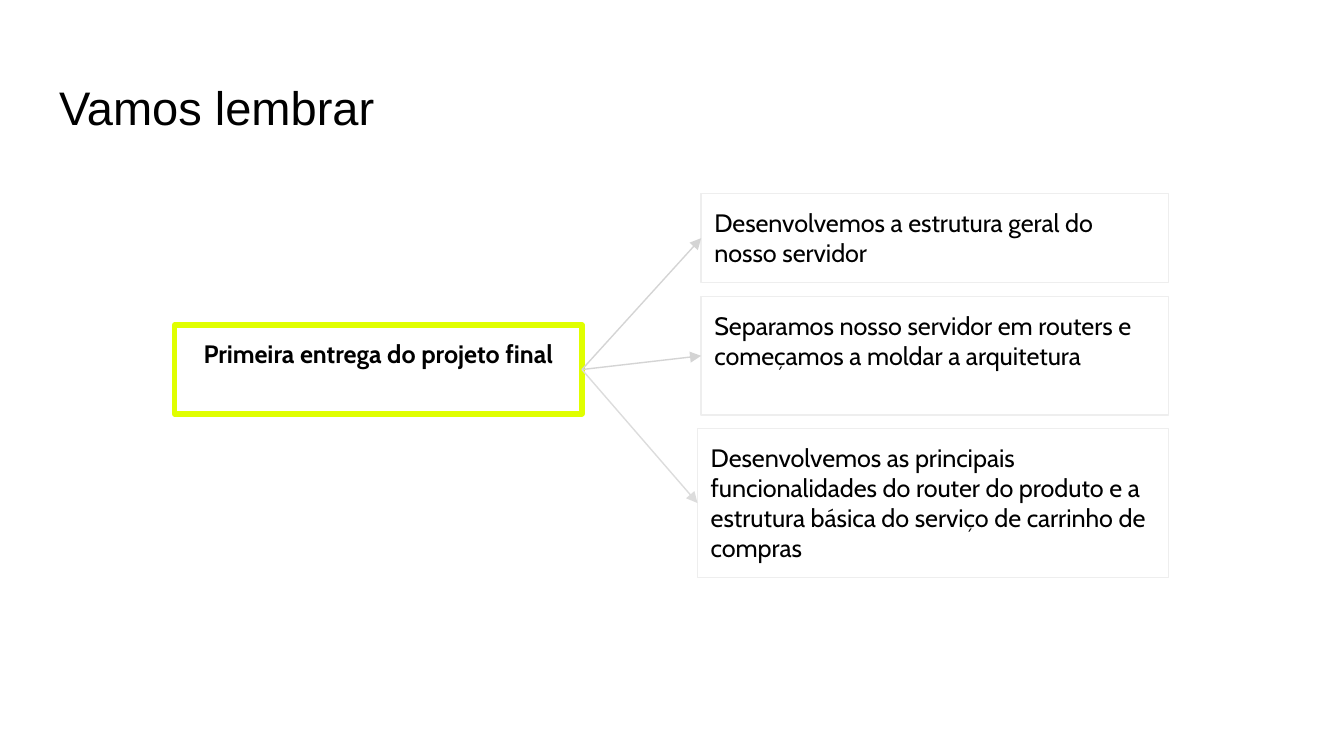
from lxml import etree
from pptx import Presentation, util as u
from pptx.dml.color import RGBColor
from pptx.enum import shapes, text
from pptx.oxml.ns import qn

WIDTH = u.Inches(10)
HEIGHT = WIDTH * 9 // 16
BLACK = RGBColor(0x00, 0x00, 0x00)
LIME = RGBColor(0xE0, 0xFF, 0x00)
PALE = RGBColor(0xEE, 0xEE, 0xEE)
GREY = RGBColor(0xD4, 0xD4, 0xD4)
LIGHT_GREY = RGBColor(0xDC, 0xDC, 0xDC)
LEFT_SITE, RIGHT_SITE = 1, 3

STEPS = [
    ("Desenvolvemos a estrutura geral do nosso servidor",
     (52.17, 25.64, 34.8, 11.73), GREY),
    ("Separamos nosso servidor em routers e começamos a moldar a arquitetura",
     (52.17, 39.25, 34.8, 15.64), GREY),
    ("Desenvolvemos as principais funcionalidades do router do produto e a "
     "estrutura básica do serviço de carrinho de compras",
     (51.9, 56.68, 35.07, 19.73), LIGHT_GREY),
]


def place(area):
    """Turn percentages of the slide into left, top, width and height."""
    return [round(share * side / 100)
            for share, side in zip(area, (WIDTH, HEIGHT, WIDTH, HEIGHT))]


def write(box, words, size, font, bold=False, align=text.PP_ALIGN.LEFT):
    """Fill a box with one wrapped paragraph, set from its top."""
    frame = box.text_frame
    frame.text = words
    frame.word_wrap = True
    frame.vertical_anchor = text.MSO_ANCHOR.TOP
    frame.margin_left = frame.margin_right = u.Inches(0.1)
    frame.margin_top = frame.margin_bottom = u.Inches(0.1)
    para = frame.paragraphs[0]
    para.alignment = align
    span = para.runs[0]
    span.font.size = u.Pt(size)
    span.font.name = font
    span.font.bold = bold
    span.font.color.rgb = BLACK


def add_title(page, words, area):
    """Add the slide heading."""
    write(page.shapes.add_textbox(*place(area)), words, 25.2, "Arial")


def add_card(page, words, area, color, weight, **style):
    """Add an outlined rectangle with text and return it."""
    card = page.shapes.add_shape(shapes.MSO_SHAPE.RECTANGLE, *place(area))
    card.shadow.inherit = False
    card.fill.background()
    card.line.color.rgb = color
    card.line.width = u.Pt(weight)
    write(card, words, 13.5, "Cabin", **style)
    return card


def add_arrow(page, source, target, color):
    """Join the right side of one card to the left side of another."""
    arrow = page.shapes.add_connector(shapes.MSO_CONNECTOR.STRAIGHT, 0, 0, 0, 0)
    arrow.begin_connect(source, RIGHT_SITE)
    arrow.end_connect(target, LEFT_SITE)
    arrow.line.color.rgb = color
    arrow.line.width = u.Pt(0.75)
    etree.SubElement(arrow.line._get_or_add_ln(), qn("a:tailEnd"), type="triangle")
    etree.SubElement(arrow._element.spPr, qn("a:effectLst"))


def main():
    """Build and save the slide."""
    deck = Presentation()
    deck.slide_width, deck.slide_height = WIDTH, HEIGHT
    page = deck.slides.add_slide(deck.slide_layouts[6])
    add_title(page, "Vamos lembrar", (3.41, 8.65, 93.2, 11.2))
    delivery = add_card(page, "Primeira entrega do projeto final",
                        (13, 43.02, 30.3, 11.73), LIME, 3,
                        bold=True, align=text.PP_ALIGN.CENTER)
    cards = [add_card(page, words, area, PALE, 0.75) for words, area, _ in STEPS]
    for card, (_, _, color) in zip(cards, STEPS):
        add_arrow(page, delivery, card, color)
    deck.save("out.pptx")


if __name__ == "__main__":
    main()
